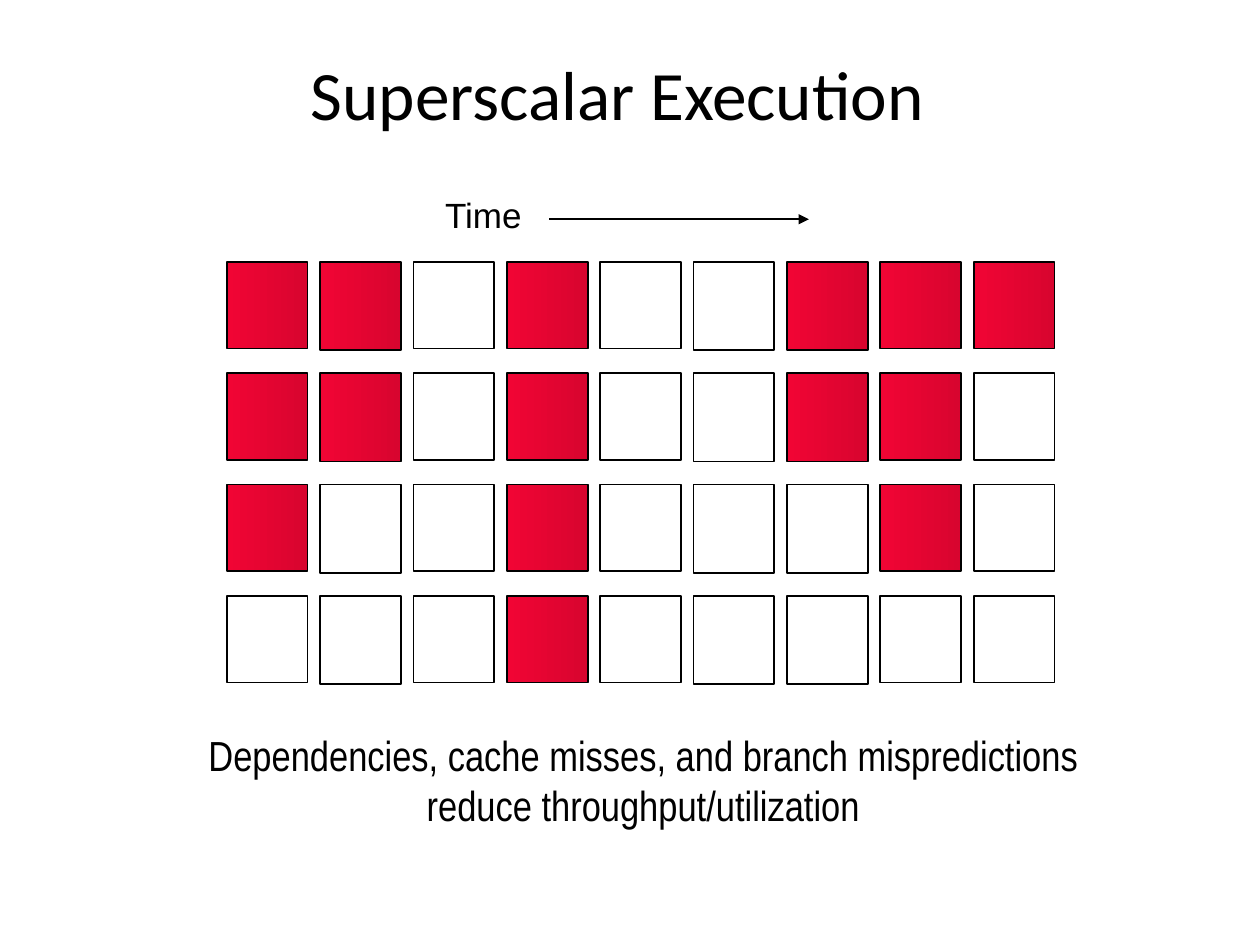
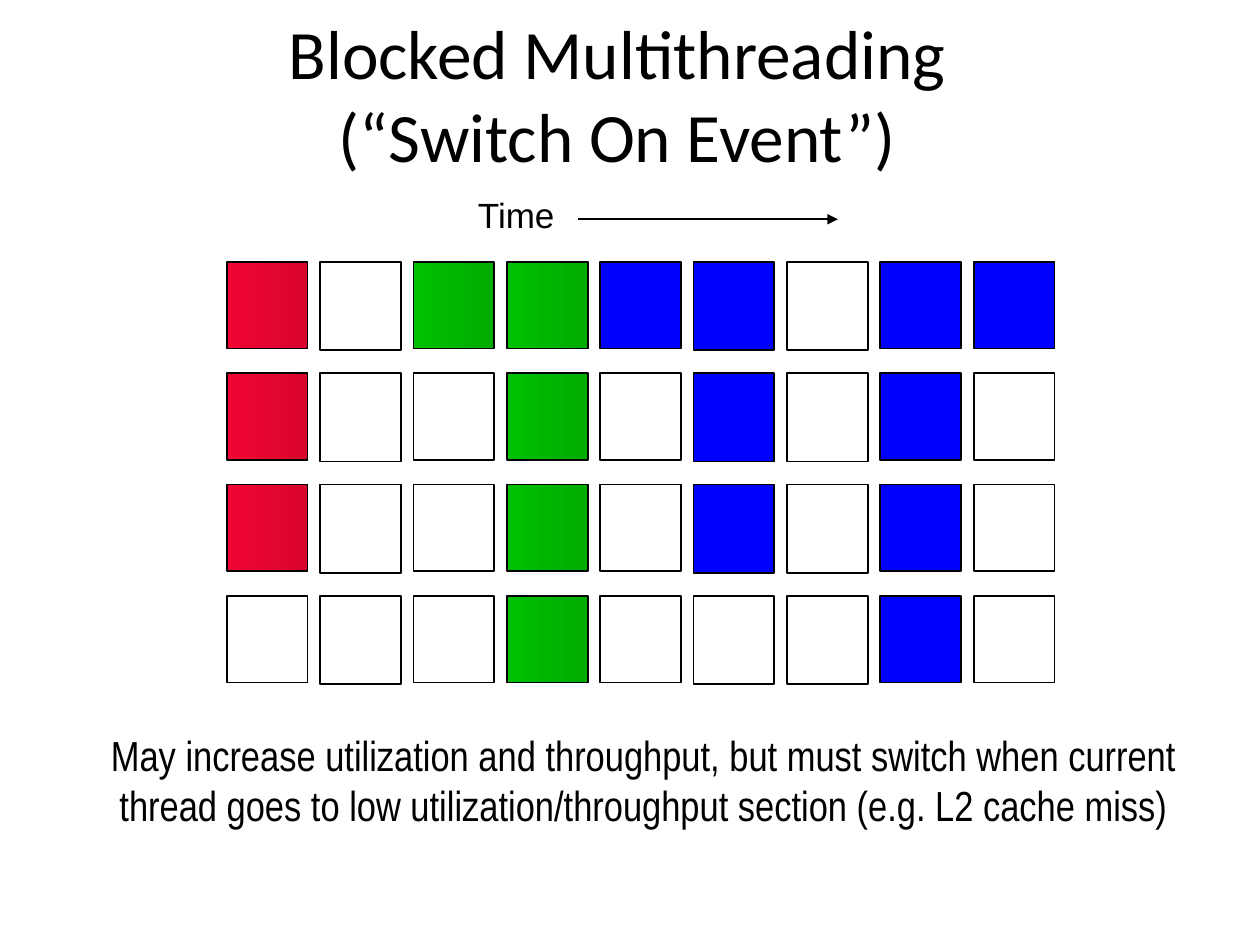
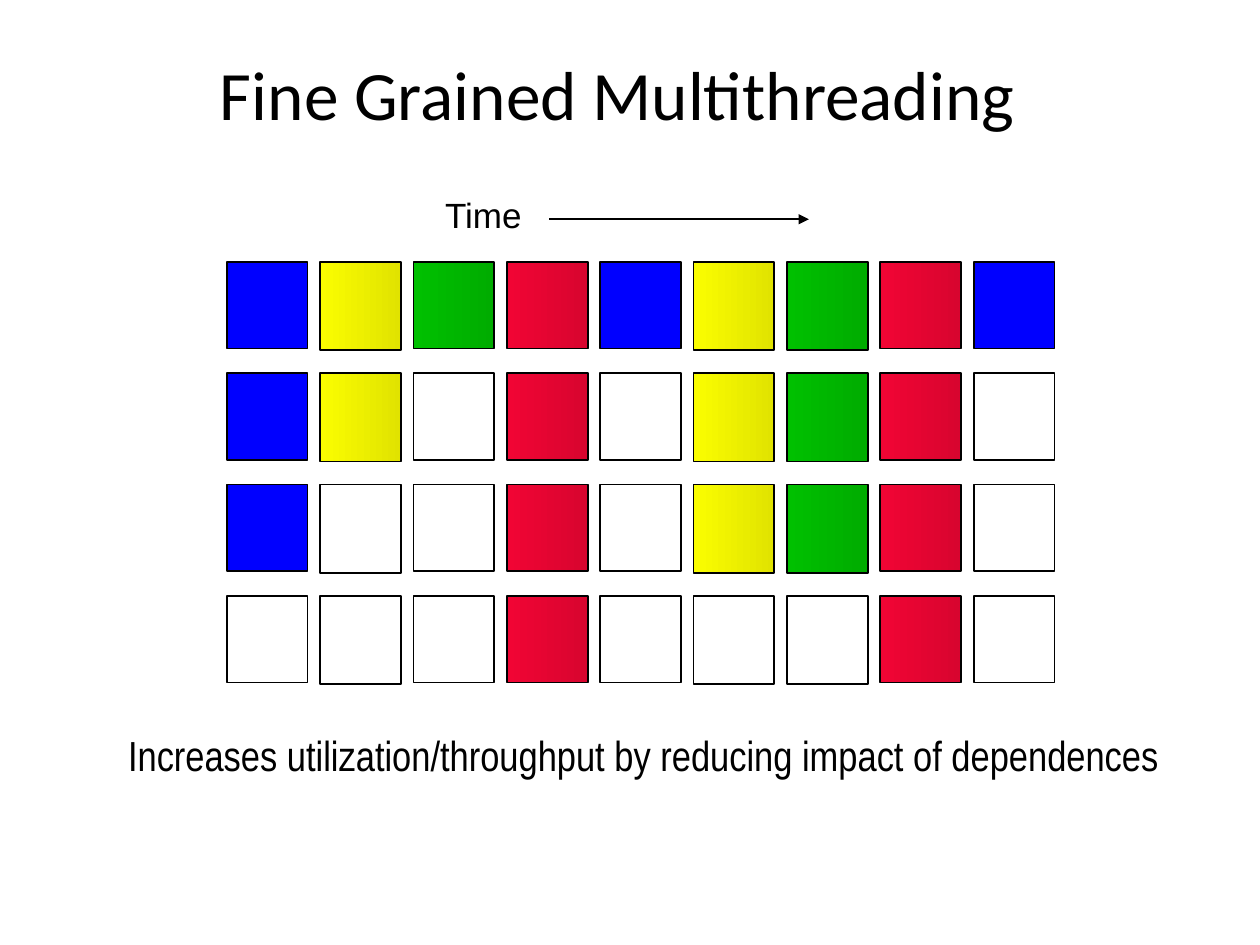
from pptx import Presentation
from pptx.dml.color import RGBColor
from pptx.enum.shapes import MSO_CONNECTOR as CONN, MSO_SHAPE as SHAPE
from pptx.enum.text import MSO_ANCHOR as ANCHOR, MSO_AUTO_SIZE as FIT, PP_ALIGN as ALIGN
from pptx.oxml.ns import qn
from pptx.util import Pt
from lxml.etree import SubElement

# Shared look
BLACK = "000000"
THREADS = {  # one colour is solid, two make a gradient
    "R": ["F10534", "D8052F"],
    "G": ["00C000", "00AC00"],
    "Y": ["FAFD00", "E1E300"],
    "B": ["0000FF"],
}
GRID_LEFT, GRID_TOP = 129.6, 149.7
COL_PITCH, ROW_PITCH = 53.35, 63.6
SLOT_W, SLOT_H, TALL_H = 46.2, 49.5, 50.5
TALL_COLS = (1, 5, 6)

# Each slide: title, issue slots by row, caption, left of label, left of arrow
SLIDES = [
    ("Superscalar Execution",
     ["RR.R..RRR", "RR.R..RR.", "R..R...R.", "...R....."],
     "Dependencies, cache misses, and branch mispredictions\n"
     "reduce throughput/utilization", 241.2, 314),
    ("Blocked Multithreading (“Switch On Event”)",
     ["R.GGBB.BB", "R..G.B.B.", "R..G.B.B.", "...G...B."],
     "May increase utilization and throughput, but must switch when current\n"
     "thread goes to low utilization/throughput section (e.g. L2 cache miss)", 260, 330.5),
    ("Fine Grained Multithreading",
     ["BYGRBYGRB", "BY.R.YGR.", "B..R.YGR.", "...R...R."],
     "Increases utilization/throughput by reducing impact of dependences", 241.2, 314),
]


def rgb(color):
    return RGBColor.from_string(color)


def write(sp, box, text, font, size, align):
    sp.left, sp.top, sp.width, sp.height = [Pt(v) for v in box]
    tf = sp.text_frame
    tf.text = text
    tf.word_wrap = True
    tf.auto_size = FIT.NONE
    for p in tf.paragraphs:
        p.alignment = align
        p.font.name, p.font.size = font, Pt(size)
        p.font.color.rgb = rgb(BLACK)


prs = Presentation()
prs.slide_width, prs.slide_height = Pt(720), Pt(540)

for title, rows, caption, label_left, arrow_left in SLIDES:
    s = prs.slides.add_slide(prs.slide_layouts[5])

    # Title and caption
    write(s.shapes.title, (100.8, 30.2, 504, 46), title, "Calibri", 39.6, ALIGN.CENTER)
    s.shapes.title.text_frame.vertical_anchor = ANCHOR.MIDDLE
    sp = s.shapes.add_textbox(0, 0, 0, 0)
    write(sp, (47.5, 413.3, 640, 65), caption, "Arial Narrow", 24, ALIGN.CENTER)

    # Issue slots: one column per cycle
    for row, slots in enumerate(rows):
        for col, thread in enumerate(slots):
            sp = s.shapes.add_shape(
                SHAPE.RECTANGLE,
                Pt(GRID_LEFT + col * COL_PITCH), Pt(GRID_TOP + row * ROW_PITCH),
                Pt(SLOT_W), Pt(TALL_H if col in TALL_COLS else SLOT_H))
            sp.shadow.inherit = False
            sp.line.color.rgb = rgb(BLACK)
            sp.line.width = Pt(1)
            colors = THREADS.get(thread, [])
            if len(colors) == 2:
                sp.fill.gradient()
                sp.fill.gradient_angle = 0
                for stop, color in zip(sp.fill.gradient_stops, colors):
                    stop.color.rgb = rgb(color)
            elif colors:
                sp.fill.solid()
                sp.fill.fore_color.rgb = rgb(colors[0])
            else:
                sp.fill.background()

    # Time axis
    sp = s.shapes.add_textbox(0, 0, 0, 0)
    write(sp, (label_left, 107.3, 64, 31), "Time", "Arial", 20, ALIGN.RIGHT)
    arrow = s.shapes.add_connector(
        CONN.STRAIGHT, Pt(arrow_left), Pt(125.3), Pt(arrow_left + 148.3), Pt(125.3))
    arrow.line.color.rgb = rgb(BLACK)
    arrow.line.width = Pt(1)
    SubElement(arrow.line._get_or_add_ln(), qn("a:tailEnd"), type="triangle")
    SubElement(arrow._element.spPr, qn("a:effectLst"))

prs.save("out.pptx")
